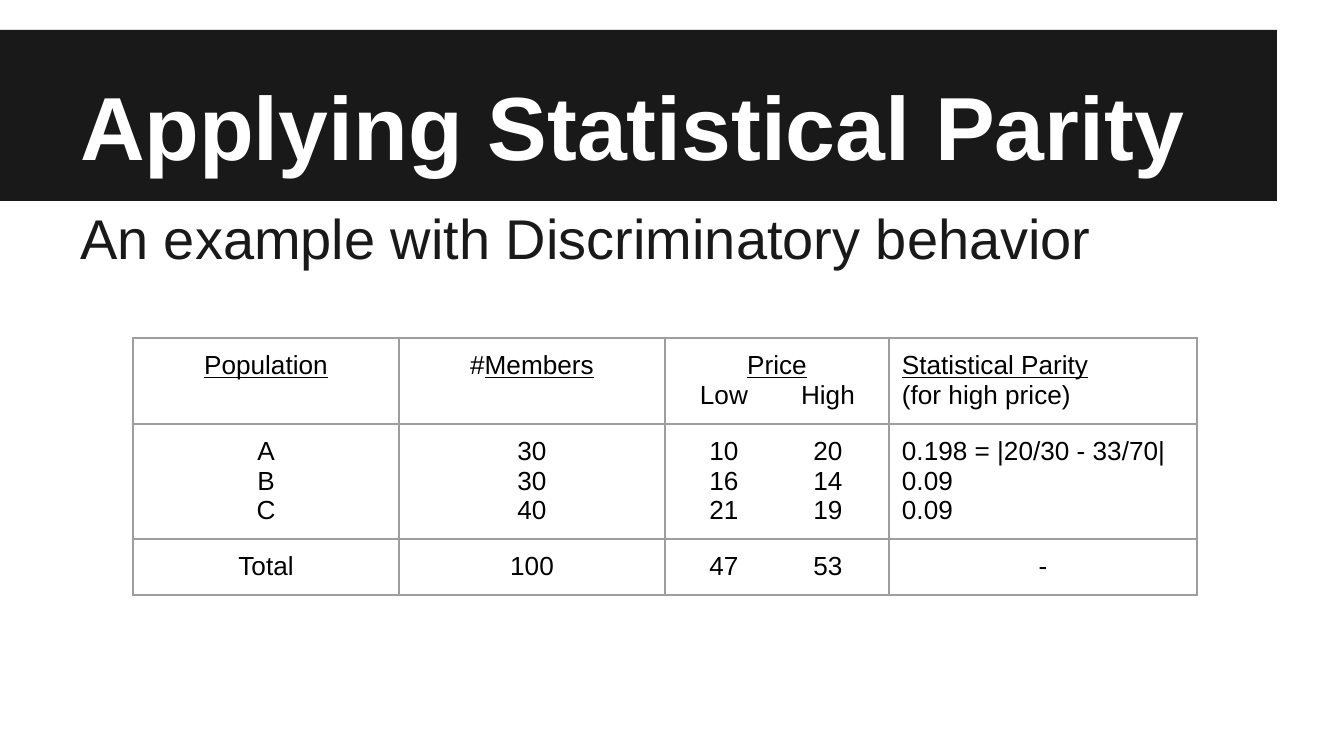
import pptx
import pptx.util
import pptx.dml.color
import pptx.enum.shapes
import pptx.enum.text
import lxml.etree

EMU_PER_PX = 914400 / 134.4
INSET = 13
NS = "http://schemas.openxmlformats.org/drawingml/2006/main"
ALIGN = pptx.enum.text.PP_ALIGN


def px(n):
    return pptx.util.Emu(round(n * EMU_PER_PX))


def rgb(value):
    return pptx.dml.color.RGBColor.from_string(value)


prs = pptx.Presentation()
prs.slide_width, prs.slide_height = px(1344), px(756)
s = prs.slides.add_slide(prs.slide_layouts[1])
title, body = s.placeholders

# Dark band behind the title
band = s.shapes.add_shape(pptx.enum.shapes.MSO_SHAPE.RECTANGLE,
                          0, px(30), px(1277), px(171))
band.shadow.inherit = False
band.fill.solid()
band.fill.fore_color.rgb = rgb("191919")
band.line.fill.background()
title._element.addprevious(band._element)

# Title and subtitle
ANCHOR = pptx.enum.text.MSO_ANCHOR
for sp, text, top, height, size, color, bold, anchor in [
    (title, "Applying Statistical Parity", 23, 168, 48, "FFFFFF", True, ANCHOR.BOTTOM),
    (body, "An example with Discriminatory behavior", 190, 555, 30, "191919", False, ANCHOR.TOP),
]:
    sp.left, sp.top, sp.width, sp.height = px(67), px(top), px(1210), px(height)
    tf = sp.text_frame
    tf.text = text
    tf.word_wrap = True
    tf.auto_size = pptx.enum.text.MSO_AUTO_SIZE.NONE
    tf.vertical_anchor = anchor
    tf.margin_left = tf.margin_right = tf.margin_top = tf.margin_bottom = px(INSET)
    p = tf.paragraphs[0]
    p.alignment = ALIGN.LEFT
    p.space_before = pptx.util.Pt(0)
    pPr = p._p.get_or_add_pPr()
    pPr.set("marL", "0")
    pPr.set("indent", "0")
    lxml.etree.SubElement(pPr, f"{{{NS}}}buNone")
    font = p.runs[0].font
    font.name, font.size, font.bold = "Arial", pptx.util.Pt(size), bold
    font.color.rgb = rgb(color)

# Table text: underscores enclose underlined words, tabs separate low and high
rows = [
    ["_Population_", "#_Members_", "_Price_\n\tLow\tHigh",
     "_Statistical Parity_\n(for high price)"],
    ["A\nB\nC", "30\n30\n40", "\t10\t20\n\t16\t14\n\t21\t19",
     "0.198 = |20/30 - 33/70|\n0.09\n0.09"],
    ["Total", "100", "\t47\t53", "-"],
]
col_widths = [266, 266, 224, 308]
row_heights = [86, 115, 56]
price_stops = [46, 150]

table = s.shapes.add_table(len(rows), len(col_widths), px(133), px(338),
                           px(sum(col_widths)), px(sum(row_heights))).table
table.first_row = table.horz_banding = False
for column, width in zip(table.columns, col_widths):
    column.width = px(width)
for row, height in zip(table.rows, row_heights):
    row.height = px(height)

for i, texts in enumerate(rows):
    for j, text in enumerate(texts):
        cell = table.cell(i, j)
        cell.margin_left = cell.margin_right = px(INSET)
        cell.margin_top = cell.margin_bottom = px(INSET)

        # Grey border on every side, then no fill
        tcPr = cell._tc.get_or_add_tcPr()
        for side in ("lnL", "lnR", "lnT", "lnB"):
            ln = lxml.etree.SubElement(tcPr, f"{{{NS}}}{side}", w="9525")
            fill = lxml.etree.SubElement(ln, f"{{{NS}}}solidFill")
            lxml.etree.SubElement(fill, f"{{{NS}}}srgbClr", val="9E9E9E")
        cell.fill.background()

        # One paragraph per line
        tf = cell.text_frame
        for k, line in enumerate(text.split("\n")):
            p = tf.add_paragraph() if k else tf.paragraphs[0]
            left = "\t" in line or (j == 3 and i < 2)
            p.alignment = ALIGN.LEFT if left else ALIGN.CENTER
            if "\t" in line:
                tabs = lxml.etree.SubElement(p._p.get_or_add_pPr(), f"{{{NS}}}tabLst")
                for stop in price_stops:
                    lxml.etree.SubElement(tabs, f"{{{NS}}}tab",
                                          pos=str(px(stop)), algn="ctr")
            for n, piece in enumerate(line.split("_")):
                if piece:
                    r = p.add_run()
                    r.text = piece
                    r.font.name, r.font.size = "Arial", pptx.util.Pt(14)
                    r.font.underline = n % 2 == 1
                    r.font.color.rgb = rgb("000000")

prs.save("out.pptx")
